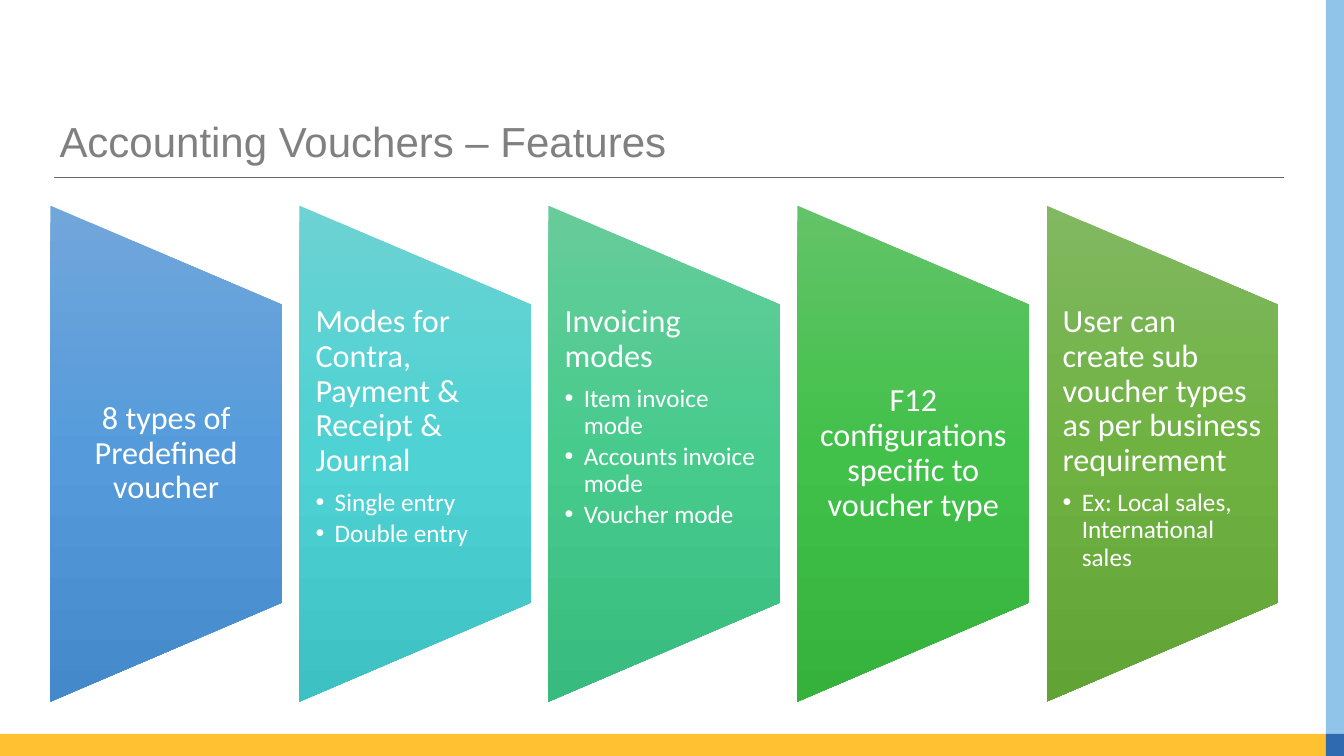
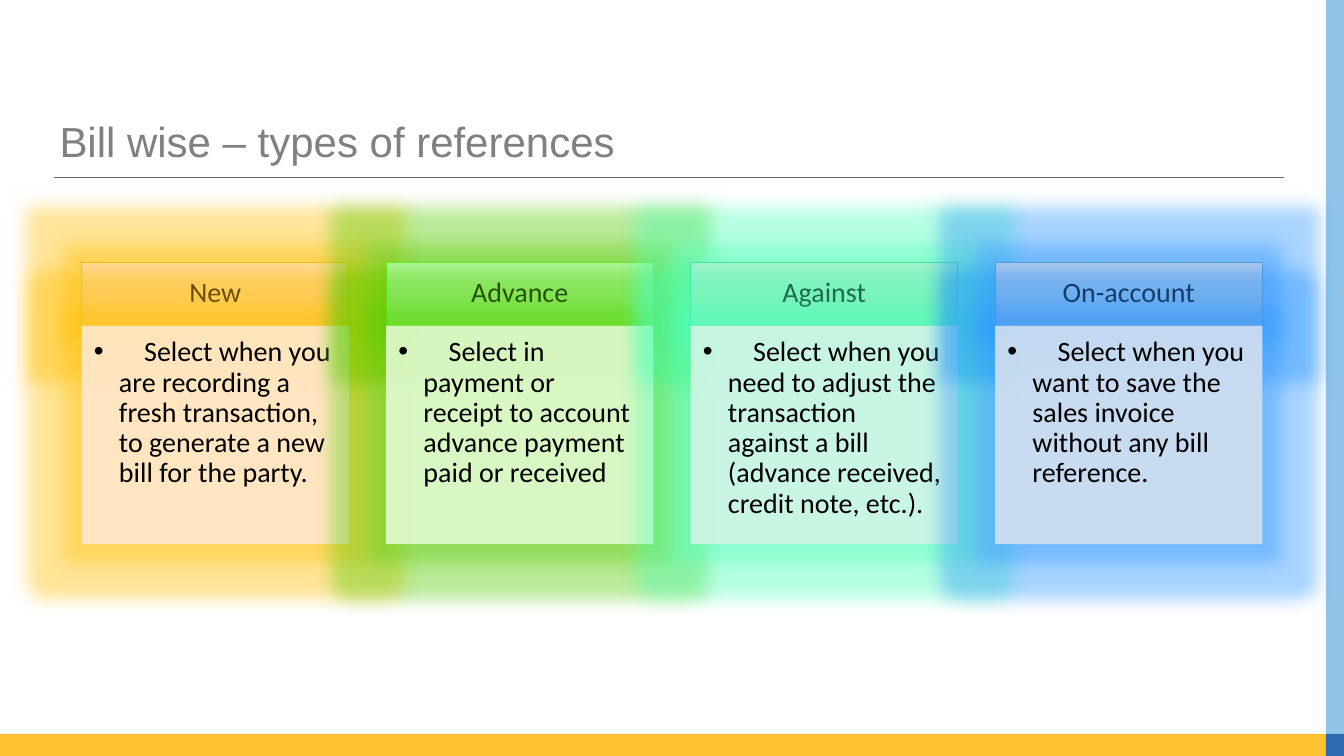
from pptx import Presentation
from pptx.dml.color import RGBColor
from pptx.enum import shapes, text
from pptx.oxml.ns import qn
from pptx.oxml.xmlchemy import OxmlElement
from pptx.util import Inches, Pt

WHITE = RGBColor(0xFF, 0xFF, 0xFF)
BLACK = RGBColor(0x00, 0x00, 0x00)
TITLE_GREY = RGBColor(0x80, 0x80, 0x80)
RULE_GREY = RGBColor(0x66, 0x66, 0x66)
AMBER = RGBColor(0xFF, 0xC0, 0x31)
SKY = RGBColor(0x90, 0xC4, 0xE9)
NAVY = RGBColor(0x2F, 0x69, 0xB0)

WIDTH, HEIGHT = 13.33, 7.5
SIDE_X, FOOT_Y = 13.15, 7.28
BANDS = [  # left, top, right, bottom, colour
    (0, FOOT_Y, SIDE_X, HEIGHT, AMBER),
    (SIDE_X, 0, WIDTH, FOOT_Y, SKY),
    (SIDE_X, FOOT_Y, WIDTH, HEIGHT, NAVY),
]

# heading, bullets, gradient from top to bottom
FEATURES = [
    ("8 types of Predefined voucher", [], ("71A6DB", "559BDB", "448ACA")),
    ("Modes for Contra, Payment & Receipt & Journal",
     ["Single entry", "Double entry"], ("6CD2D3", "4ED2D3", "3EC1C2")),
    ("Invoicing modes",
     ["Item invoice mode", "Accounts invoice mode", "Voucher mode"],
     ("67CC9A", "47CB8D", "38BB7E")),
    ("F12 configurations specific to voucher type", [],
     ("63C368", "42C14A", "35B23C")),
    ("User can create sub voucher types as per business requirement",
     ["Ex: Local sales, International sales"],
     ("81B861", "6FB242", "62A336")),
]
PANEL_X, PANEL_Y, PANEL_W, PANEL_H, PANEL_PITCH = 0.5, 2.04, 2.3, 4.92, 2.47
PANEL_SLOPE = PANEL_H / 5

# heading, description, header gradient, header line, body fill, glow
REFERENCES = [
    ("New", "Select when you are recording a fresh transaction, "
     "to generate a new bill for the party.",
     ("FFDB9E", "FFD590", "FFD07C"), "FFC000", "FFE8CC", "FFBF00"),
    ("Advance", "Select in payment or receipt to account advance payment "
     "paid or received",
     ("B3F8A1", "A7F693", "98FA7E"), "67EF21", "E1FACE", "55CC00"),
    ("Against", "Select when you need to adjust the transaction against a "
     "bill (advance received, credit note, etc.).",
     ("A8F0CA", "99ECC1", "86EEB9"), "3FE19B", "D0F5E5", "4CFFB8"),
    ("On-account", "Select when you want to save the sales invoice without "
     "any bill reference.",
     ("B1CBE9", "A3C1E5", "93B9E4"), "5B9BD5", "D2DFF0", "2894FF"),
]
CARD_X, CARD_Y, CARD_W, CARD_PITCH = 0.81, 2.6, 2.65, 3.02
HEADER_H, BODY_H = 0.63, 2.17
GLOW_RADIUS = 0.37


def add_node(parent, tag, **attrs):
    node = OxmlElement(tag)
    for name, value in attrs.items():
        node.set(name, str(value))
    parent.append(node)
    return node


def add_rect(s, left, top, width, height):
    sp = s.shapes.add_shape(shapes.MSO_SHAPE.RECTANGLE, Inches(left),
                            Inches(top), Inches(width), Inches(height))
    sp.shadow.inherit = False
    sp.line.fill.background()
    return sp


def fill_solid(sp, color, opacity=100):
    sp.fill.solid()
    sp.fill.fore_color.rgb = color
    if opacity < 100:
        node = next(sp._element.spPr.iter(qn("a:srgbClr")))
        add_node(node, "a:alpha", val=opacity * 1000)


def fill_gradient(sp, colors):
    sp.fill.gradient()
    sp.fill.gradient_angle = 270
    stops = next(sp._element.spPr.iter(qn("a:gsLst")))
    for old in list(stops):
        stops.remove(old)
    for i, color in enumerate(colors):
        stop = add_node(stops, "a:gs", pos=i * 100000 // (len(colors) - 1))
        add_node(stop, "a:srgbClr", val=color)


def add_glow(sp, color):
    effects = sp._element.spPr.find(qn("a:effectLst"))
    glow = add_node(effects, "a:glow", rad=Inches(GLOW_RADIUS))
    add_node(add_node(glow, "a:srgbClr", val=color), "a:alpha", val=40000)


def set_frame(sp, anchor, left, top, right, bottom):
    tf = sp.text_frame
    tf.word_wrap = True
    tf.vertical_anchor = anchor
    tf.margin_left, tf.margin_top = Inches(left), Inches(top)
    tf.margin_right, tf.margin_bottom = Inches(right), Inches(bottom)
    return tf


def write(p, words, size, color, align=text.PP_ALIGN.LEFT, after=0,
          indent=0, tab=0):
    """Fill a paragraph; an indent makes it a bullet, a tab pushes its text in."""
    p.text = words
    p.alignment = align
    p.line_spacing = 0.9
    p.space_after = Pt(after)
    if indent:
        pPr = p._p.get_or_add_pPr()
        pPr.set("marL", str(Inches(indent)))
        pPr.set("indent", str(-Inches(indent)))
        add_node(pPr, "a:buFont", typeface="Arial")
        add_node(pPr, "a:buChar", char="•")
        if tab:
            add_node(add_node(pPr, "a:tabLst"), "a:tab",
                     pos=Inches(tab), algn="l")
    p.font.size = Pt(size)
    p.font.name = "Calibri"
    p.font.color.rgb = color


def add_titled_slide(prs, title):
    s = prs.slides.add_slide(prs.slide_layouts.get_by_name("Title Only"))
    rule = s.shapes.add_connector(shapes.MSO_CONNECTOR.STRAIGHT, Inches(0.54),
                                  Inches(1.76), Inches(12.73), Inches(1.76))
    rule.line.color.rgb = RULE_GREY
    rule.line.width = Pt(0.82)
    add_node(rule._element.spPr, "a:effectLst")
    for left, top, right, bottom, color in BANDS:
        fill_solid(add_rect(s, left, top, right - left, bottom - top), color)

    sp = s.shapes.title
    sp.left, sp.top = Inches(0.49), Inches(1.18)
    sp.width, sp.height = Inches(12.2), Inches(0.5)
    tf = set_frame(sp, text.MSO_ANCHOR.MIDDLE, 0.1, 0.05, 0.1, 0.05)
    p = tf.paragraphs[0]
    write(p, title, 30, TITLE_GREY)
    p.font.name = "Arial"
    return s


def add_panel(s, left, heading, bullets, colors):
    right, bottom = left + PANEL_W, PANEL_Y + PANEL_H
    corners = [(left, PANEL_Y), (right, PANEL_Y + PANEL_SLOPE),
               (right, bottom - PANEL_SLOPE), (left, bottom)]
    points = [(Inches(x), Inches(y)) for x, y in corners]
    outline = s.shapes.build_freeform(*points[0])
    outline.add_line_segments(points[1:], close=True)
    sp = outline.convert_to_shape()
    sp.shadow.inherit = False
    sp.line.fill.background()
    fill_gradient(sp, colors)

    anchor = text.MSO_ANCHOR.TOP if bullets else text.MSO_ANCHOR.MIDDLE
    align = text.PP_ALIGN.LEFT if bullets else text.PP_ALIGN.CENTER
    tf = set_frame(sp, anchor, 0.16, PANEL_SLOPE, 0.16, PANEL_SLOPE)
    write(tf.paragraphs[0], heading, 23, WHITE, align, after=8)
    for bullet in bullets:
        write(tf.add_paragraph(), bullet, 18, WHITE, after=2.7, indent=0.19)


def add_card(s, left, heading, description, colors, edge, body_color, glow):
    header = add_rect(s, left, CARD_Y, CARD_W, HEADER_H)
    fill_gradient(header, colors)
    header.line.color.rgb = RGBColor.from_string(edge)
    header.line.width = Pt(0.5)
    tf = set_frame(header, text.MSO_ANCHOR.MIDDLE, 0.16, 0.09, 0.16, 0.09)
    write(tf.paragraphs[0], heading, 20, BLACK, text.PP_ALIGN.CENTER)

    body = add_rect(s, left, CARD_Y + HEADER_H, CARD_W, BODY_H)
    fill_solid(body, RGBColor.from_string(body_color), opacity=90)
    tf = set_frame(body, text.MSO_ANCHOR.TOP, 0.12, 0.12, 0.16, 0.17)
    write(tf.paragraphs[0], "\t" + description, 20, BLACK,
          indent=0.25, tab=0.5)
    for sp in (header, body):
        add_glow(sp, glow)


def main():
    prs = Presentation()
    prs.slide_width, prs.slide_height = Inches(WIDTH), Inches(HEIGHT)

    s = add_titled_slide(prs, "Accounting Vouchers – Features")
    for i, feature in enumerate(FEATURES):
        add_panel(s, PANEL_X + i * PANEL_PITCH, *feature)

    s = add_titled_slide(prs, "Bill wise – types of references")
    for i, reference in enumerate(REFERENCES):
        add_card(s, CARD_X + i * CARD_PITCH, *reference)

    prs.save("out.pptx")


if __name__ == "__main__":
    main()
